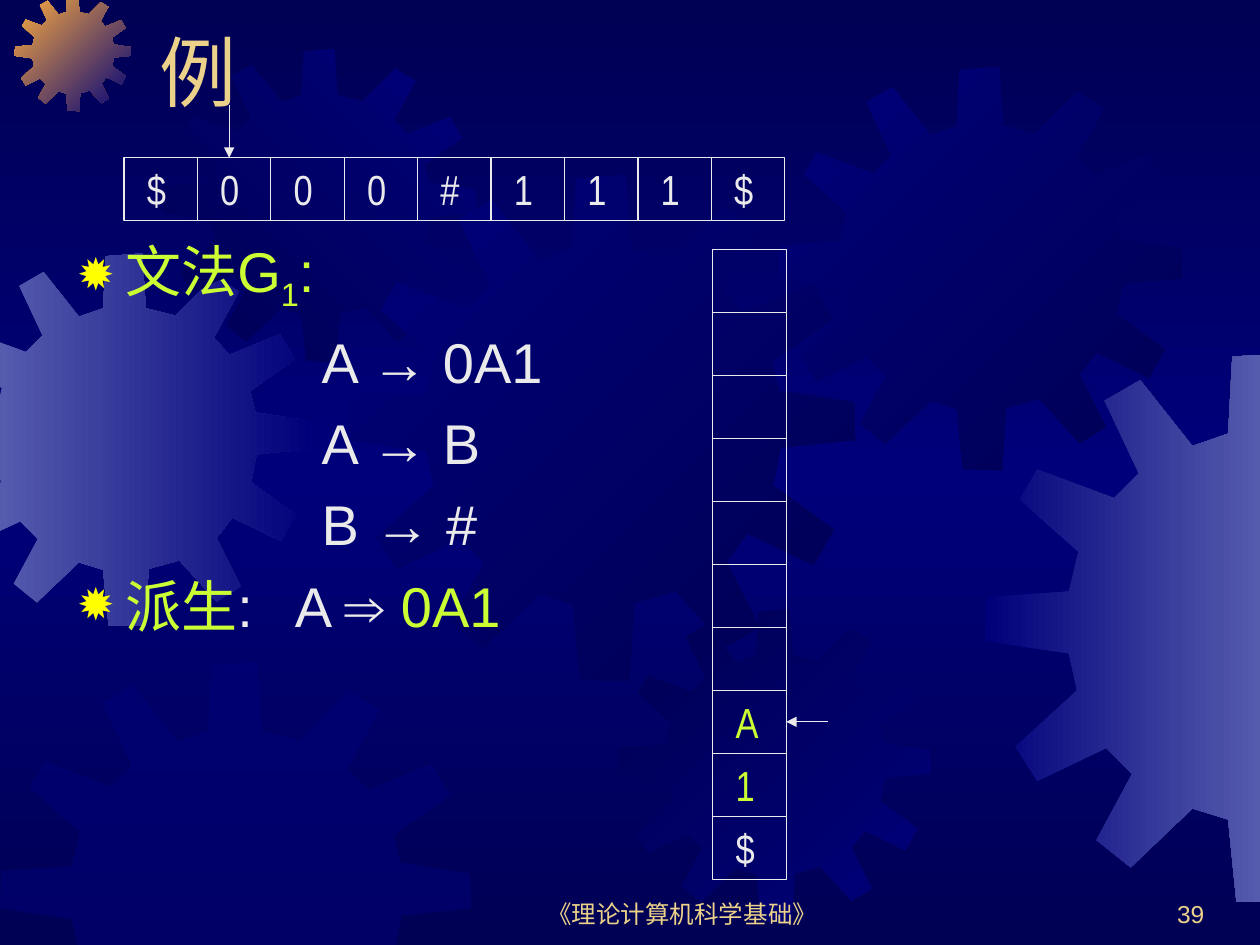
from copy import deepcopy

from lxml import etree
from pptx import Presentation
from pptx import util as u
from pptx.dml.color import RGBColor
from pptx.enum import shapes, text
from pptx.oxml.ns import qn

THEME = {
    "dark": "000054", "blue": "00007A", "haze": "555BAD", "orange": "FCAB40",
    "gold": "EBD189", "lime": "CCFF33", "white": "EAEAEA", "bullet": "FFFF00",
    "font": "Arial", "narrow": "Arial Narrow",
    "title": 44, "body": 32, "cell": 24, "footer": 14, "line": 0.75,
}
WIDTH, HEIGHT = 25.4, 19.05

TITLE = "例"
FOOTERS = [
    ("《理论计算机科学基础》", 9.73, 8.05, text.PP_ALIGN.CENTER),
    ("39", 19.25, 5.28, text.PP_ALIGN.RIGHT),
]
BODY = [
    ("bullet", [("文法G", "lime"), ("1", "lime", True), (":", "lime")]),
    ("rule", [("A → 0A1", "white")]),
    ("rule", [("A → B", "white")]),
    ("rule", [("B → #", "white")]),
    ("bullet", [("派生", "lime"), (":\tA ⇒ ", "white"), ("0A1", "lime")]),
]
INDENT, RULE_INDENT, TAB = 0.97, 4.93, 4.39

TAPE = [(symbol, "white") for symbol in "$000#111$"]
STACK = [("", "white")] * 7 + [("A", "lime"), ("1", "lime"), ("$", "white")]
CELL_WIDTH, CELL_HEIGHT = 1.48, 1.27
TAPE_LEFT, TAPE_TOP = 2.5, 3.18
STACK_LEFT, STACK_TOP = 14.37, 5.03
ARROWS = [(4.62, 2.11, 4.62, 3.18), (16.69, 14.55, 15.85, 14.55)]

GEAR_SIZE = 401
GEAR = [
    (255, 67), (223, 59), (219, 0), (180, 3), (177, 59), (151, 68), (113, 20), (87, 35),
    (112, 88), (94, 106), (38, 85), (25, 107), (68, 145), (61, 174), (1, 178), (0, 210),
    (61, 219), (67, 246), (22, 287), (38, 312), (88, 288), (107, 307), (81, 355), (106, 375),
    (151, 332), (177, 340), (183, 400), (222, 401), (226, 339), (259, 330), (299, 374), (325, 358),
    (299, 306), (316, 284), (368, 309), (384, 281), (336, 246), (342, 216), (401, 210), (400, 180),
    (341, 171), (335, 148), (383, 114), (367, 87), (313, 109), (296, 91), (323, 41), (297, 25),
]
GEARS = [
    (-1.24, 5.11, 7.52, ("haze", "blue"), 0),
    (0.3, -0.1, 2.34, ("orange", "blue"), 45),
    (3.3, 0.99, 6.3, ("dark", "blue"), 315),
    (7.04, 3.53, 10.2, ("blue", "dark"), 45),
    (0, 13.34, 9.5, ("blue",), 0),
    (12.47, 12.29, 6.3, ("dark", "blue"), 45),
    (15.7, 1.35, 8.13, ("blue", "dark"), 45),
    (19.86, 7.11, 11.1, ("blue", "haze"), 0),
]


def color(name):
    return RGBColor.from_string(THEME[name])


def add_element(parent, tag, **attributes):
    return etree.SubElement(parent, qn(tag), attributes)


def write(para, words, *, size, tint, font="font", lowered=False):
    span = para.add_run()
    span.text = words
    span.font.size = u.Pt(THEME[size])
    span.font.name = THEME[font]
    span.font.color.rgb = color(tint)
    if lowered:
        span._r.get_or_add_rPr().set("baseline", "-25000")


def place(shape, left, top, width, height):
    shape.left, shape.top = u.Cm(left), u.Cm(top)
    shape.width, shape.height = u.Cm(width), u.Cm(height)


def fill_gradient(owner, fill, names, angle):
    fill.gradient()
    stops = owner.element.xpath(".//a:gsLst")[0]
    for _ in names[2:]:
        stops.append(deepcopy(stops[0]))
    for index, (stop, name) in enumerate(zip(fill.gradient_stops, names)):
        stop.position = index / (len(names) - 1)
        stop.color.rgb = color(name)
    fill.gradient_angle = (360 - angle) % 360


def clip(points, axis, limit, sign):
    kept = []
    for start, end in zip(points, points[1:] + points[:1]):
        before = sign * (start[axis] - limit)
        after = sign * (end[axis] - limit)
        if before >= 0:
            kept.append(start)
        if before * after < 0:
            share = before / (before - after)
            kept.append(tuple(a + share * (b - a) for a, b in zip(start, end)))
    return kept


def add_gear(page, left, top, size, names, angle):
    scale = size / GEAR_SIZE
    points = [(left + x * scale, top + y * scale) for x, y in GEAR]
    for axis, limit, sign in ((0, 0, 1), (0, WIDTH, -1), (1, 0, 1), (1, HEIGHT, -1)):
        points = clip(points, axis, limit, sign)
    points = [(u.Cm(x), u.Cm(y)) for x, y in points]
    builder = page.shapes.build_freeform(*points[0])
    builder.add_line_segments(points[1:], close=True)
    gear = builder.convert_to_shape()
    gear.shadow.inherit = False
    gear.line.fill.background()
    if len(names) > 1:
        fill_gradient(gear, gear.fill, names, angle)
    else:
        gear.fill.solid()
        gear.fill.fore_color.rgb = color(names[0])
        add_element(gear.element.xpath("./p:spPr/a:solidFill/a:srgbClr")[0], "a:alpha", val="50000")


def add_cell(page, left, top, symbol, tint):
    cell = page.shapes.add_shape(shapes.MSO_SHAPE.RECTANGLE, u.Cm(left), u.Cm(top),
                                 u.Cm(CELL_WIDTH), u.Cm(CELL_HEIGHT))
    cell.shadow.inherit = False
    cell.fill.background()
    cell.line.color.rgb = color("white")
    cell.line.width = u.Pt(THEME["line"])
    if symbol:
        frame = cell.text_frame
        frame.vertical_anchor = text.MSO_ANCHOR.TOP
        frame.margin_left, frame.margin_right = u.Cm(0.46), 0
        frame.paragraphs[0].alignment = text.PP_ALIGN.LEFT
        write(frame.paragraphs[0], symbol, size="cell", tint=tint, font="narrow")


def add_arrow(page, *ends):
    arrow = page.shapes.add_connector(shapes.MSO_CONNECTOR.STRAIGHT, *map(u.Cm, ends))
    arrow.line.color.rgb = color("white")
    arrow.line.width = u.Pt(THEME["line"])
    add_element(arrow.element.xpath(".//a:ln")[0], "a:tailEnd", type="triangle")
    add_element(arrow.element.spPr, "a:effectLst")


def fill_body(frame):
    frame.auto_size = text.MSO_AUTO_SIZE.NONE
    for index, (kind, spans) in enumerate(BODY):
        para = frame.add_paragraph() if index else frame.paragraphs[0]
        para.space_before = u.Pt(8 if index else 0)
        layout = para._p.get_or_add_pPr()
        if kind == "bullet":
            layout.set("marL", str(u.Cm(INDENT)))
            layout.set("indent", str(-u.Cm(INDENT)))
            add_element(add_element(layout, "a:buClr"), "a:srgbClr", val=THEME["bullet"])
            add_element(layout, "a:buSzPct", val="80000")
            add_element(layout, "a:buChar", char="✹")
            add_element(add_element(layout, "a:tabLst"), "a:tab", pos=str(u.Cm(TAB)), algn="l")
        else:
            layout.set("marL", str(u.Cm(RULE_INDENT)))
            layout.set("indent", "0")
            add_element(layout, "a:buNone")
        for words, tint, *lowered in spans:
            write(para, words, size="body", tint=tint, lowered=bool(lowered))


def main():
    deck = Presentation()
    deck.slide_width, deck.slide_height = u.Cm(WIDTH), u.Cm(HEIGHT)
    page = deck.slides.add_slide(deck.slide_layouts[1])
    fill_gradient(page, page.background.fill, ("dark", "blue", "dark"), 90)
    for gear in GEARS:
        add_gear(page, *gear)

    for words, left, width, alignment in FOOTERS:
        box = page.shapes.add_textbox(u.Cm(left), u.Cm(17.58), u.Cm(width), u.Cm(1.27))
        box.text_frame.word_wrap = True
        box.text_frame.vertical_anchor = text.MSO_ANCHOR.BOTTOM
        box.text_frame.paragraphs[0].alignment = alignment
        write(box.text_frame.paragraphs[0], words, size="footer", tint="gold")

    title, body = page.shapes.title, page.placeholders[1]
    for holder in (title, body):
        holder.element.getparent().append(holder.element)
    place(title, 2.97, -0.69, 21.59, 3.18)
    title.text_frame.auto_size = text.MSO_AUTO_SIZE.NONE
    title.text_frame.vertical_anchor = text.MSO_ANCHOR.BOTTOM
    title.text_frame.paragraphs[0].alignment = text.PP_ALIGN.LEFT
    write(title.text_frame.paragraphs[0], TITLE, size="title", tint="gold")
    place(body, 1.3, 4.65, 14.35, 12.9)
    fill_body(body.text_frame)

    for index, (symbol, tint) in enumerate(TAPE):
        add_cell(page, TAPE_LEFT + index * CELL_WIDTH, TAPE_TOP, symbol, tint)
    for index, (symbol, tint) in enumerate(STACK):
        add_cell(page, STACK_LEFT, STACK_TOP + index * CELL_HEIGHT, symbol, tint)
    for ends in ARROWS:
        add_arrow(page, *ends)
    deck.save("out.pptx")


if __name__ == "__main__":
    main()
